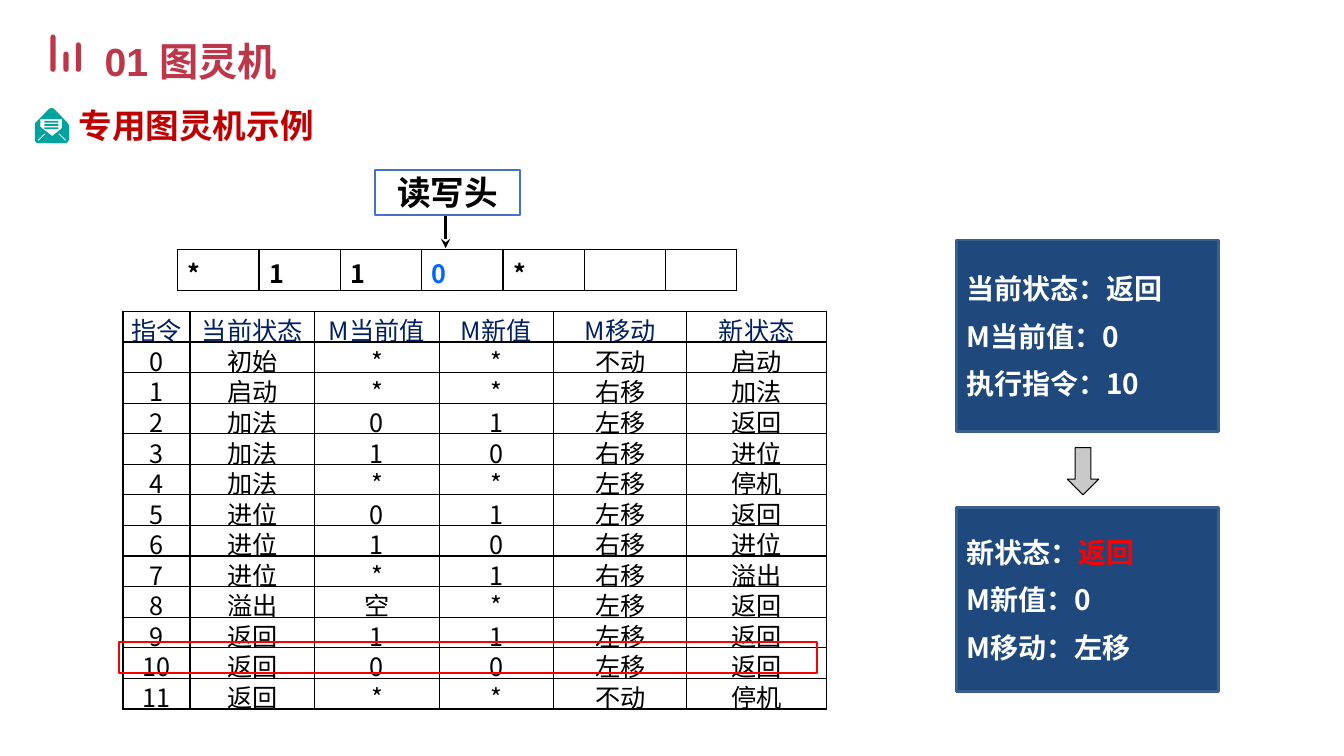
from dataclasses import dataclass

from lxml import etree
from pptx import Presentation
from pptx.dml.color import RGBColor
from pptx.enum.shapes import MSO_CONNECTOR, MSO_SHAPE
from pptx.enum.text import MSO_ANCHOR, PP_ALIGN
from pptx.oxml.ns import qn
from pptx.util import Cm, Pt

RECT = MSO_SHAPE.RECTANGLE
ROUNDED = MSO_SHAPE.ROUNDED_RECTANGLE
DOWN_ARROW = MSO_SHAPE.DOWN_ARROW
STRAIGHT = MSO_CONNECTOR.STRAIGHT
TOP, MIDDLE = MSO_ANCHOR.TOP, MSO_ANCHOR.MIDDLE
LEFT, CENTER = PP_ALIGN.LEFT, PP_ALIGN.CENTER


@dataclass(frozen=True)
class Theme:
    """Colours, fonts and type sizes of the slide."""
    crimson: str = "BD374A"
    heading: str = "C00000"
    teal: str = "00A39E"
    navy: str = "002060"
    panel: str = "1F497D"
    panel_edge: str = "3A5F8C"
    head_edge: str = "4472C4"
    blue: str = "0066FF"
    red: str = "FF0000"
    grey: str = "C9C9C9"
    black: str = "000000"
    white: str = "FFFFFF"
    latin: str = "Arial"
    cjk: str = "Noto Sans CJK SC"
    title_size: int = 28
    heading_size: int = 24
    panel_size: int = 20
    table_size: int = 18


class SlideBuilder:
    """Draws styled elements on one slide."""

    def __init__(self, slide, theme):
        self.shapes = slide.shapes
        self.theme = theme

    def style_run(self, run, size, color, bold=True, font=None):
        """Format one run with matching Latin and East Asian fonts."""
        run.font.size = Pt(size)
        run.font.bold = bold
        run.font.color.rgb = RGBColor.from_string(color)
        run.font.name = font or self.theme.cjk
        east_asian = etree.SubElement(run.font._element, qn("a:ea"))
        east_asian.set("typeface", self.theme.cjk)

    def space_before(self, paragraph, percent):
        """Set the space above a paragraph relative to its line."""
        spacing = etree.SubElement(paragraph._p.get_or_add_pPr(), qn("a:spcBef"))
        etree.SubElement(spacing, qn("a:spcPct")).set("val", str(percent * 1000))

    def paint(self, shape, fill=None, edge=None, weight=1):
        """Set fill and outline and drop the shadow."""
        shape.shadow.inherit = False
        if fill:
            shape.fill.solid()
            shape.fill.fore_color.rgb = RGBColor.from_string(fill)
        else:
            shape.fill.background()
        if edge:
            shape.line.color.rgb = RGBColor.from_string(edge)
            shape.line.width = Pt(weight)
        else:
            shape.line.fill.background()
        return shape

    def shape(self, kind, box, **paint):
        """Add a preset shape."""
        return self.paint(self.shapes.add_shape(kind, *map(Cm, box)), **paint)

    def label(self, box, text, size, color, font=None, spacing=None, wrap=True):
        """Add a one-paragraph bold text box."""
        frame = self.shapes.add_textbox(*map(Cm, box)).text_frame
        frame.word_wrap = wrap
        frame.text = text
        frame.paragraphs[0].line_spacing = spacing
        self.style_run(frame.paragraphs[0].runs[0], size, color, font=font)

    def panel(self, box, lines):
        """Add a dark panel; each line is a list of text and colour pairs."""
        theme = self.theme
        panel = self.shape(RECT, box, fill=theme.panel, edge=theme.panel_edge, weight=2)
        frame = panel.text_frame
        frame.vertical_anchor = MIDDLE
        for index, line in enumerate(lines):
            paragraph = frame.add_paragraph() if index else frame.paragraphs[0]
            paragraph.alignment = LEFT
            self.space_before(paragraph, 50)
            for text, color in line:
                run = paragraph.add_run()
                run.text = text
                self.style_run(run, theme.panel_size, color)

    def read_head(self, box, text):
        """Add the outlined box of the read-write head."""
        head = self.shape(RECT, box, edge=self.theme.head_edge, weight=1.5)
        frame = head.text_frame
        frame.margin_left = frame.margin_right = Cm(0.05)
        frame.margin_top = frame.margin_bottom = Cm(0.03)
        frame.vertical_anchor = TOP
        frame.text = text
        frame.paragraphs[0].alignment = CENTER
        self.space_before(frame.paragraphs[0], 50)
        self.style_run(frame.paragraphs[0].runs[0], self.theme.heading_size, self.theme.black)

    def arrow(self, x, top, bottom):
        """Add a vertical line with a stealth arrowhead."""
        arrow = self.shapes.add_connector(STRAIGHT, Cm(x), Cm(top), Cm(x), Cm(bottom))
        arrow.line.color.rgb = RGBColor.from_string(self.theme.black)
        arrow.line.width = Pt(2.25)
        etree.SubElement(arrow.line._get_or_add_ln(), qn("a:tailEnd")).set("type", "stealth")
        etree.SubElement(arrow._element.spPr, qn("a:effectLst"))

    def outline(self, contours, fill):
        """Add a freeform from closed contours given in centimetres."""
        (x, y), *rest = contours[0]
        builder = self.shapes.build_freeform(Cm(x), Cm(y))
        builder.add_line_segments([(Cm(a), Cm(b)) for a, b in rest])
        for (x, y), *rest in contours[1:]:
            builder.move_to(Cm(x), Cm(y))
            builder.add_line_segments([(Cm(a), Cm(b)) for a, b in rest])
        self.paint(builder.convert_to_shape(), fill=fill)

    def border(self, cell, top, bottom):
        """Draw the four black borders of a cell."""
        properties = cell._tc.get_or_add_tcPr()
        for side, weight in (("L", 1), ("R", 1), ("T", top), ("B", bottom)):
            line = etree.SubElement(properties, qn(f"a:ln{side}"), w=str(Pt(weight)))
            fill = etree.SubElement(line, qn("a:solidFill"))
            etree.SubElement(fill, qn("a:srgbClr")).set("val", self.theme.black)

    def table(self, origin, widths, height, rows, color_of, outer=1, bold=False,
              align=LEFT, margins=None):
        """Add a ruled table; color_of maps row and column to a text colour."""
        frame = self.shapes.add_table(len(rows), len(widths), *map(Cm, origin),
                                      Cm(sum(widths)), Cm(height * len(rows)))
        table = frame.table
        table.first_row = table.horz_banding = False
        for column, width in zip(table.columns, widths):
            column.width = Cm(width)
        for r, values in enumerate(rows):
            table.rows[r].height = Cm(height)
            for c, value in enumerate(values):
                cell = table.cell(r, c)
                self.border(cell, 1 if r else outer, outer if r == len(rows) - 1 else 1)
                cell.fill.background()
                if margins:
                    cell.margin_left = cell.margin_right = Cm(margins[0])
                    cell.margin_top = cell.margin_bottom = Cm(margins[1])
                cell.text_frame.text = value
                paragraph = cell.text_frame.paragraphs[0]
                paragraph.alignment = align
                for run in paragraph.runs:
                    self.style_run(run, self.theme.table_size, color_of(r, c), bold)


INSTRUCTIONS = [line.split() for line in """
指令 当前状态 M当前值 M新值 M移动 新状态
0 初始 * * 不动 启动
1 启动 * * 右移 加法
2 加法 0 1 左移 返回
3 加法 1 0 右移 进位
4 加法 * * 左移 停机
5 进位 0 1 左移 返回
6 进位 1 0 右移 进位
7 进位 * 1 右移 溢出
8 溢出 空 * 左移 返回
9 返回 1 1 左移 返回
10 返回 0 0 左移 返回
11 返回 * * 不动 停机
""".strip().splitlines()]
TAPE = ["*", "1", "1", "0", "*", "", ""]
HEAD_POSITION = 3

ENVELOPE = [(0.89, 3.1), (1.24, 2.74), (1.3, 2.72), (1.36, 2.74), (1.71, 3.1),
            (1.74, 3.16), (1.74, 3.52), (1.7, 3.59), (1.63, 3.61), (0.97, 3.61),
            (0.9, 3.59), (0.88, 3.52), (0.88, 3.16)]
LETTER = [(1.02, 3), (1.02, 3.2), (1.32, 3.43), (1.56, 3.23), (1.56, 3)]
WRITING = [[(1.12, y), (1.12, y + 0.04), (1.47, y + 0.04), (1.47, y)]
           for y in (3.05, 3.13, 3.21)]
FOLDS = [[(0.95, 3.53), (1.13, 3.36), (1.15, 3.38), (0.97, 3.55)],
         [(1.67, 3.53), (1.49, 3.36), (1.47, 3.38), (1.65, 3.55)]]


def main():
    """Build and save the slide."""
    deck = Presentation()
    deck.slide_width, deck.slide_height = Cm(33.87), Cm(19.05)
    theme = Theme()
    slide = SlideBuilder(deck.slides.add_slide(deck.slide_layouts[6]), theme)

    for x, y, height in ((1.27, 0.87, 0.94), (1.6, 1.3, 0.51), (1.91, 1.07, 0.74)):
        bar = slide.shape(ROUNDED, (x, y, 0.13, height), fill=theme.crimson)
        bar.adjustments[0] = 0.5
    slide.label((2.39, 0.51, 11.53, 1.63), "01 图灵机", theme.title_size, theme.crimson,
                font=theme.latin, spacing=1.25)
    slide.outline([ENVELOPE, LETTER, *WRITING, *FOLDS], theme.teal)
    slide.label((1.73, 2.51, 6.53, 1.27), "专用图灵机示例", theme.heading_size,
                theme.heading, wrap=False)

    slide.table((3.1, 7.85), (1.69, 3.14, 3.14, 2.88, 3.36, 3.52), 0.77, INSTRUCTIONS,
                lambda r, c: theme.black if r else theme.navy,
                outer=1.5, align=CENTER, margins=(0.18, 0))
    slide.arrow(11.23, 5.41, 6.25)
    slide.read_head((9.45, 4.29, 3.66, 1.12), "读写头")
    slide.table((4.48, 6.28), (2.05,) * 6 + (1.78,), 1.04, [TAPE],
                lambda r, c: theme.blue if c == HEAD_POSITION else theme.black, bold=True)
    slide.shape(RECT, (3, 16.18, 17.6, 0.79), edge=theme.red, weight=1.5)

    slide.panel((24.1, 6.05, 6.6, 4.83), [[("当前状态：返回", theme.white)],
                                         [("M当前值：0", theme.white)],
                                         [("执行指令：10", theme.white)]])
    slide.shape(DOWN_ARROW, (26.9, 11.28, 0.79, 1.19), fill=theme.grey,
                edge=theme.black, weight=0.75)
    slide.panel((24.1, 12.78, 6.6, 4.65), [[("新状态：", theme.white), ("返回", theme.red)],
                                          [("M新值：0", theme.white)],
                                          [("M移动：左移", theme.white)]])
    deck.save("out.pptx")


if __name__ == "__main__":
    main()
